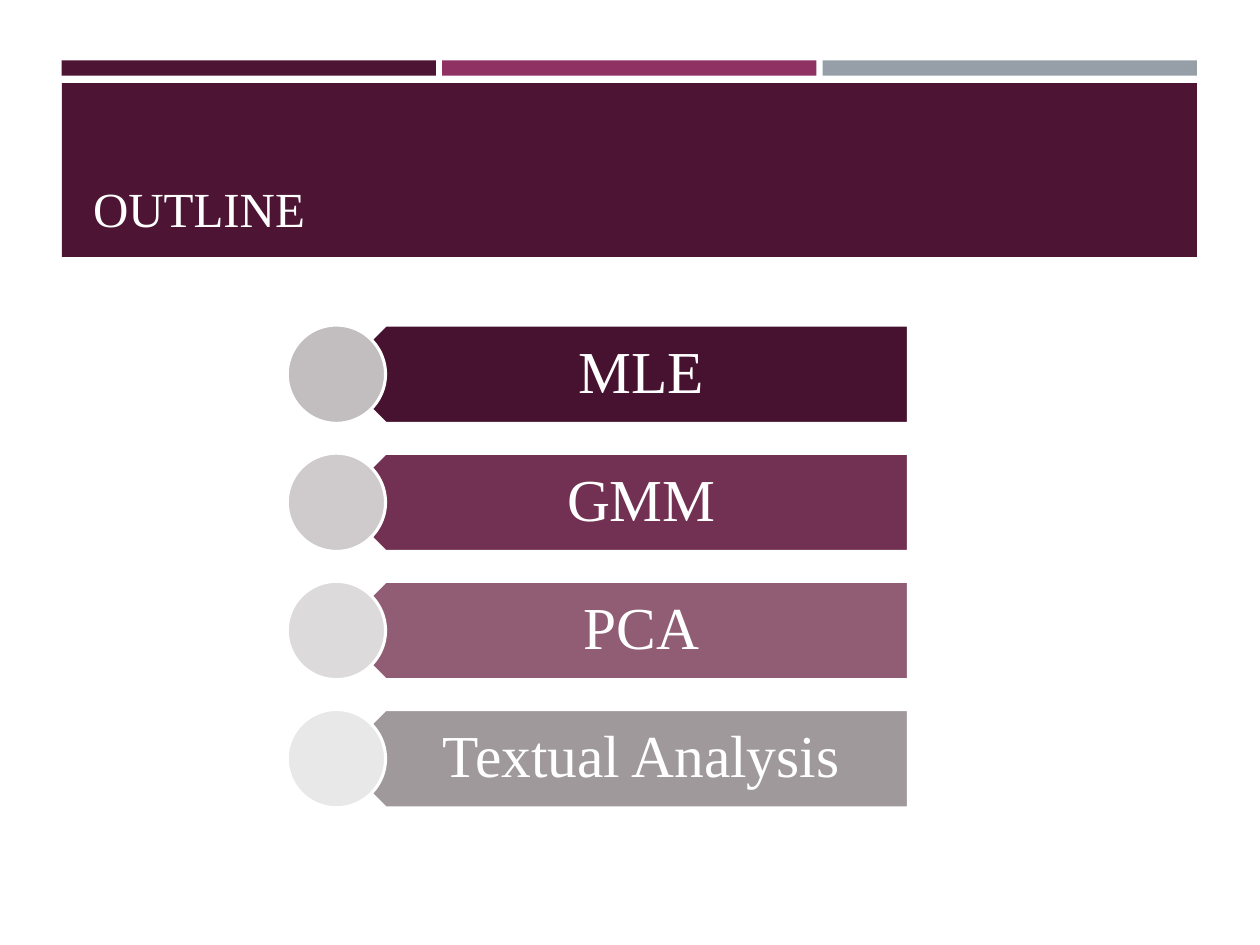
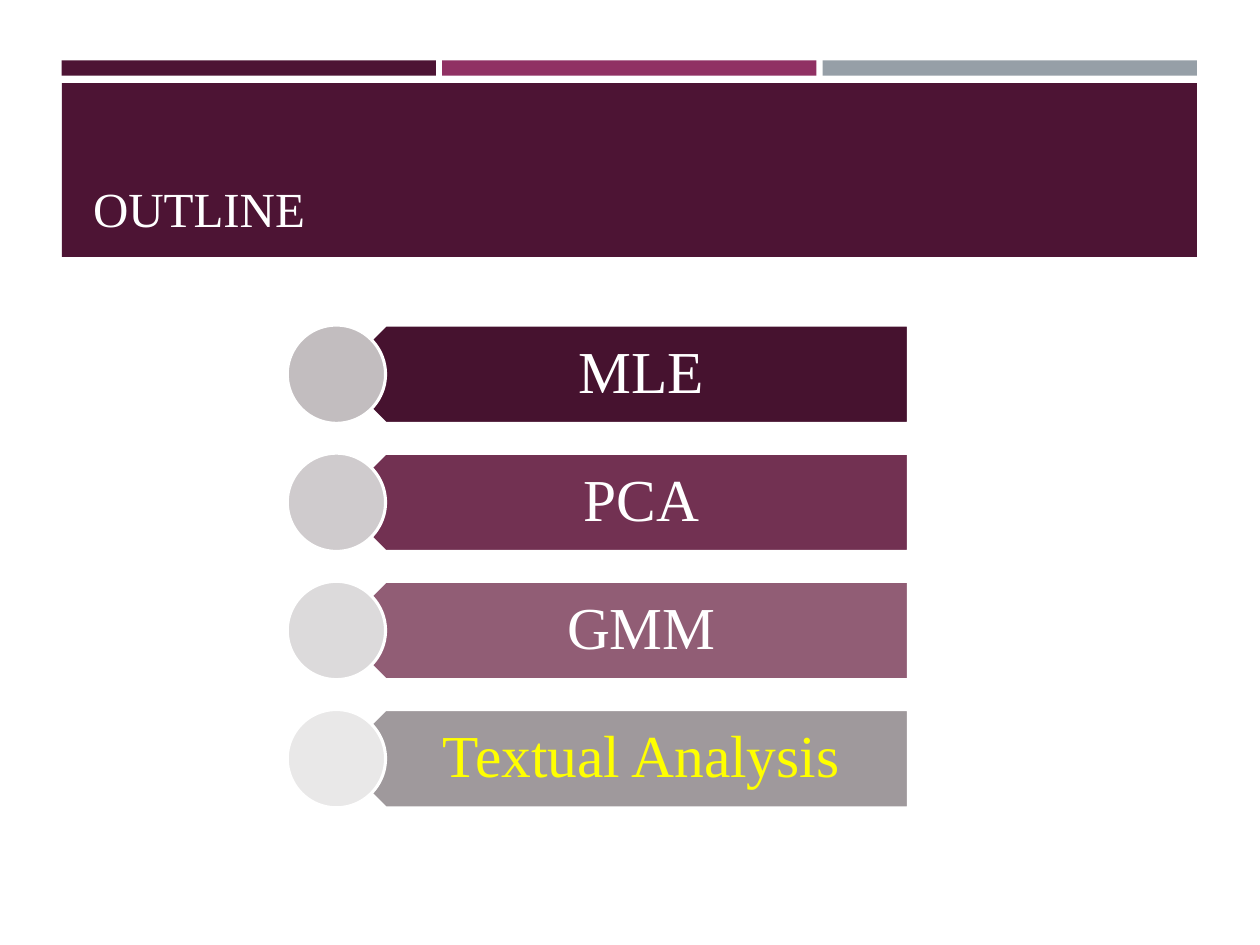
import pptx
import pptx.dml.color
import pptx.enum.shapes
import pptx.enum.text
import pptx.util

Inches = pptx.util.Inches
Pt = pptx.util.Pt
Shape = pptx.enum.shapes.MSO_SHAPE
Anchor = pptx.enum.text.MSO_ANCHOR
Align = pptx.enum.text.PP_ALIGN

FONT = "Times New Roman"
COLORS = {
    "plum": "4D1434",
    "magenta": "903163",
    "steel": "969FA7",
    "white": "FFFFFF",
    "highlight": "FFFF00",
}
# Banner and circle colour of each outline row, top to bottom
ROW_COLORS = [
    ("46122F", "C2BDBF"),
    ("723152", "CFCBCD"),
    ("915D75", "DCDADB"),
    ("9F999C", "E9E8E8"),
]
BAND_LEFT, BAND_WIDTH = 0.49, 9.01
STRIPE_GAP = 0.05
ROW_TOP, ROW_PITCH, ROW_HEIGHT = 2.58, 1.017, 0.78


def rgb(hex_string):
    return pptx.dml.color.RGBColor.from_string(hex_string)


def add_filled_shape(page, kind, left, top, width, height, fill, outline=None):
    shape = page.shapes.add_shape(
        kind, Inches(left), Inches(top), Inches(width), Inches(height))
    shape.shadow.inherit = False
    shape.fill.solid()
    shape.fill.fore_color.rgb = rgb(fill)
    if outline:
        shape.line.color.rgb = rgb(outline)
        shape.line.width = Pt(1.75)
    else:
        shape.line.fill.background()
    return shape


def add_text(page, text, left, top, width, height, size, color, anchor,
             align=Align.LEFT, insets=(0.1, 0.05, 0.1, 0.05), line_spacing=1.0):
    """Add a one-paragraph text box; insets run left, top, right, bottom."""
    box = page.shapes.add_textbox(
        Inches(left), Inches(top), Inches(width), Inches(height))
    frame = box.text_frame
    frame.word_wrap = True
    frame.vertical_anchor = anchor
    (frame.margin_left, frame.margin_top,
     frame.margin_right, frame.margin_bottom) = map(Inches, insets)
    para = frame.paragraphs[0]
    para.text = text
    para.alignment = align
    para.line_spacing = line_spacing
    para.font.name = FONT
    para.font.size = Pt(size)
    para.font.color.rgb = rgb(color)


def add_header(page, title):
    """Add the three stripes, the title band and the title."""
    stripe_width = (BAND_WIDTH - 2 * STRIPE_GAP) / 3
    for index, name in enumerate(("plum", "magenta", "steel")):
        left = BAND_LEFT + index * (stripe_width + STRIPE_GAP)
        add_filled_shape(page, Shape.RECTANGLE, left, 0.48, stripe_width, 0.12,
                         COLORS[name])
    add_filled_shape(page, Shape.RECTANGLE, BAND_LEFT, 0.66, BAND_WIDTH, 1.38,
                     COLORS["plum"])
    add_text(page, title, 0.64, 0.75, 8.74, 1.18, 28, COLORS["white"],
             Anchor.BOTTOM)


def add_outline_row(page, top, topic, banner_color, circle_color, text_color):
    banner = add_filled_shape(page, Shape.PENTAGON, 2.67, top, 4.54, ROW_HEIGHT,
                              banner_color, COLORS["white"])
    banner.rotation = 180
    add_text(page, topic, 2.87, top, 4.35, ROW_HEIGHT, 34, text_color,
             Anchor.MIDDLE, Align.CENTER, (0.35, 0.14, 0.26, 0.14), 0.9)
    add_filled_shape(page, Shape.OVAL, 2.28, top, ROW_HEIGHT, ROW_HEIGHT,
                     circle_color, COLORS["white"])


def add_outline_page(deck, topics, current=None):
    """Add an outline slide, with the current topic highlighted."""
    page = deck.slides.add_slide(deck.slide_layouts[6])
    add_header(page, "OUTLINE")
    for index, (topic, row_colors) in enumerate(zip(topics, ROW_COLORS)):
        text_color = COLORS["highlight" if topic == current else "white"]
        add_outline_row(page, ROW_TOP + index * ROW_PITCH, topic, *row_colors,
                        text_color)


def main():
    deck = pptx.Presentation()
    deck.slide_width = Inches(10)
    deck.slide_height = Inches(7.5)
    add_outline_page(deck, ["MLE", "GMM", "PCA", "Textual Analysis"])
    add_outline_page(deck, ["MLE", "PCA", "GMM", "Textual Analysis"],
                     current="Textual Analysis")
    deck.save("out.pptx")


if __name__ == "__main__":
    main()
